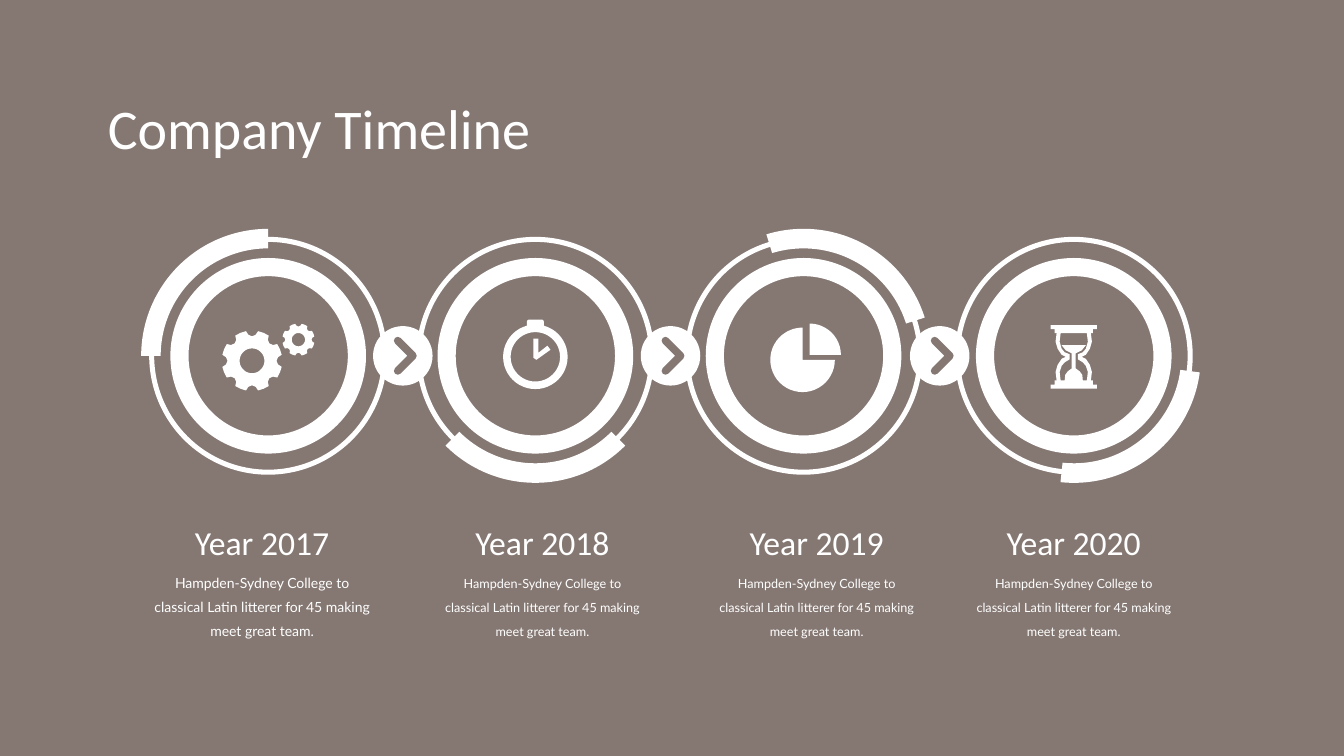
import math
from dataclasses import dataclass

import pptx
import pptx.dml.color
import pptx.enum.shapes
import pptx.enum.text
import pptx.util

Inches = pptx.util.Inches
Pt = pptx.util.Pt
SHAPE = pptx.enum.shapes.MSO_SHAPE
ALIGN = pptx.enum.text.PP_ALIGN
UNITS = 1000


@dataclass(frozen=True)
class Theme:
    ground: str = "857873"
    ink: str = "FFFFFF"
    head_font: str = "Calibri"
    body_font: str = "Lato"
    title: float = 40
    year: float = 24
    lead: float = 10
    body: float = 9
    chevron: float = 5.5


THEME = Theme()


def rgb(value):
    return pptx.dml.color.RGBColor.from_string(value)


def paint(sp):
    sp.shadow.inherit = False
    sp.fill.solid()
    sp.fill.fore_color.rgb = rgb(THEME.ink)
    sp.line.fill.background()
    return sp


def write(tf, text, font=THEME.head_font, size=THEME.year, align=ALIGN.CENTER, spacing=None):
    tf.word_wrap = True
    tf.auto_size = pptx.enum.text.MSO_AUTO_SIZE.NONE
    tf.vertical_anchor = pptx.enum.text.MSO_ANCHOR.TOP
    tf.text = text
    for p in tf.paragraphs:
        p.alignment = align
        if spacing:
            p.line_spacing = Pt(spacing)
        for r in p.runs:
            r.font.name = font
            r.font.size = Pt(size)
            r.font.color.rgb = rgb(THEME.ink)


def text_box(s, x, y, w, h, text, **fmt):
    sp = s.shapes.add_textbox(Inches(x), Inches(y), Inches(w), Inches(h))
    write(sp.text_frame, text, **fmt)


def preset(s, kind, cx, cy, w, h, *adjustments):
    sp = s.shapes.add_shape(kind, Inches(cx - w / 2), Inches(cy - h / 2), Inches(w), Inches(h))
    for i, value in enumerate(adjustments):
        sp.adjustments[i] = value
    return paint(sp)


def ring(s, cx, cy, radius, width):
    preset(s, SHAPE.DONUT, cx, cy, 2 * radius, 2 * radius, width / (2 * radius))


def sector(s, kind, cx, cy, radius, start, end, *extra):
    preset(s, kind, cx, cy, 2 * radius, 2 * radius, start * 0.6, end * 0.6, *extra)


def outline(s, cx, cy, *contours, close=True):
    scaled = [[((cx + x) * UNITS, (cy + y) * UNITS) for x, y in c] for c in contours]
    fb = s.shapes.build_freeform(*scaled[0][0], scale=Inches(1) / UNITS)
    for i, points in enumerate(scaled):
        if i:
            fb.move_to(*points[0])
        fb.add_line_segments(points[1:], close=close)
    return paint(fb.convert_to_shape())


def polar(radius, degrees):
    a = math.radians(degrees)
    return radius * math.cos(a), radius * math.sin(a)


def gear(s, cx, cy, radius):
    notch = [(-11.5, 1), (-8, 0.87), (0, 0.81), (8, 0.87), (11.5, 1), (22.5, 1)]
    rim = [polar(radius * k, tooth * 45 + a) for tooth in range(8) for a, k in notch]
    hole = [polar(radius * 0.41, a) for a in range(0, 360, 10)]
    outline(s, cx, cy, rim, hole)


def gears_icon(s, cx, cy):
    gear(s, cx - 0.16, cy + 0.05, 0.3)
    gear(s, cx + 0.3, cy - 0.16, 0.16)


def stopwatch_icon(s, cx, cy):
    ring(s, cx, cy + 0.01, 0.32, 0.075)
    preset(s, SHAPE.ROUNDED_RECTANGLE, cx, cy - 0.31, 0.17, 0.1, 0.25)
    outline(s, cx, cy, [(0.03, -0.03), (0.03, -0.17), (-0.02, -0.17), (-0.02, 0.02),
                        (0.01, 0.04), (0.15, -0.06), (0.12, -0.1)])


def pie_icon(s, cx, cy):
    sector(s, SHAPE.PIE, cx - 0.01, cy + 0.04, 0.32, 0, 270)
    sector(s, SHAPE.PIE, cx + 0.06, cy - 0.01, 0.31, 270, 0)


def hourglass_icon(s, cx, cy):
    def mirrored(half):
        return half + [(-x, y) for x, y in reversed(half)]

    upper = [(0.23, -0.315), (0.23, -0.275), (0.19, -0.275), (0.19, -0.235), (0.17, -0.235),
             (0.18, -0.15), (0.16, -0.08), (0.12, -0.02), (0.08, 0)]
    glass = upper + [(x, -y) for x, y in reversed(upper[:-1])]
    hollow = [(0.13, -0.235), (0.14, -0.15), (0.12, -0.08), (0.09, -0.045), (0.04, -0.025),
              (0.04, 0.025), (0.09, 0.055), (0.12, 0.09), (0.14, 0.15), (0.13, 0.235),
              (0.09, 0.235), (0.085, 0.18), (0.06, 0.145), (0.02, 0.115), (0.02, -0.035),
              (0.08, -0.065), (0.12, -0.115)]
    outline(s, cx, cy + 0.01, mirrored(glass), mirrored(hollow))


def badge(s, cx, cy):
    preset(s, SHAPE.OVAL, cx, cy, 0.59, 0.59)
    sp = outline(s, cx, cy, [(-0.05, -0.15), (0.1, 0), (-0.05, 0.15)], close=False)
    sp.fill.background()
    sp.line.color.rgb = rgb(THEME.ground)
    sp.line.width = Pt(THEME.chevron)
    sp.line._get_or_add_ln().set("cap", "rnd")


def dial(s, cx, cy, start, end, icon):
    ring(s, cx, cy, 0.97, 0.18)
    ring(s, cx, cy, 1.18, 0.05)
    sector(s, SHAPE.BLOCK_ARC, cx, cy, 1.26, start, end, 0.077)
    icon(s, cx, cy)


def caption(s, cx, y, year, size):
    text_box(s, cx - 1.1, y, 2.2, 0.47, year)
    text_box(s, cx - 1.2, y + 0.45, 2.4, 0.78,
             "Hampden-Sydney College to\nclassical Latin litterer for 45 making meet great team.",
             font=THEME.body_font, size=size, spacing=17)


def title(s, x, y, w, h):
    sp = s.shapes.title
    sp.left, sp.top, sp.width, sp.height = map(Inches, (x, y, w, h))
    write(sp.text_frame, "Company Timeline", size=THEME.title, align=ALIGN.LEFT, spacing=45)


def timeline(s, cy, caption_y):
    stages = [
        ("Year 2017", 2.66, 2.6, 180, 270, gears_icon, THEME.lead),
        ("Year 2018", 5.31, 5.38, 45, 135, stopwatch_icon, THEME.body),
        ("Year 2019", 7.97, 8.1, 253, 342.5, pie_icon, THEME.body),
        ("Year 2020", 10.65, 10.65, 7.5, 96, hourglass_icon, THEME.body),
    ]
    for year, cx, text_cx, start, end, icon, size in stages:
        dial(s, cx, cy, start, end, icon)
        caption(s, text_cx, caption_y, year, size)
    for before, after in zip(stages, stages[1:]):
        badge(s, (before[1] + after[1]) / 2 + 0.01, cy)


def main():
    prs = pptx.Presentation()
    prs.slide_width, prs.slide_height = Inches(13.33), Inches(7.5)
    s = prs.slides.add_slide(prs.slide_layouts[5])
    s.background.fill.solid()
    s.background.fill.fore_color.rgb = rgb(THEME.ground)
    title(s, 0.97, 0.92, 6.86, 0.74)
    timeline(s, 3.53, 5.13)
    prs.save("out.pptx")


if __name__ == "__main__":
    main()
